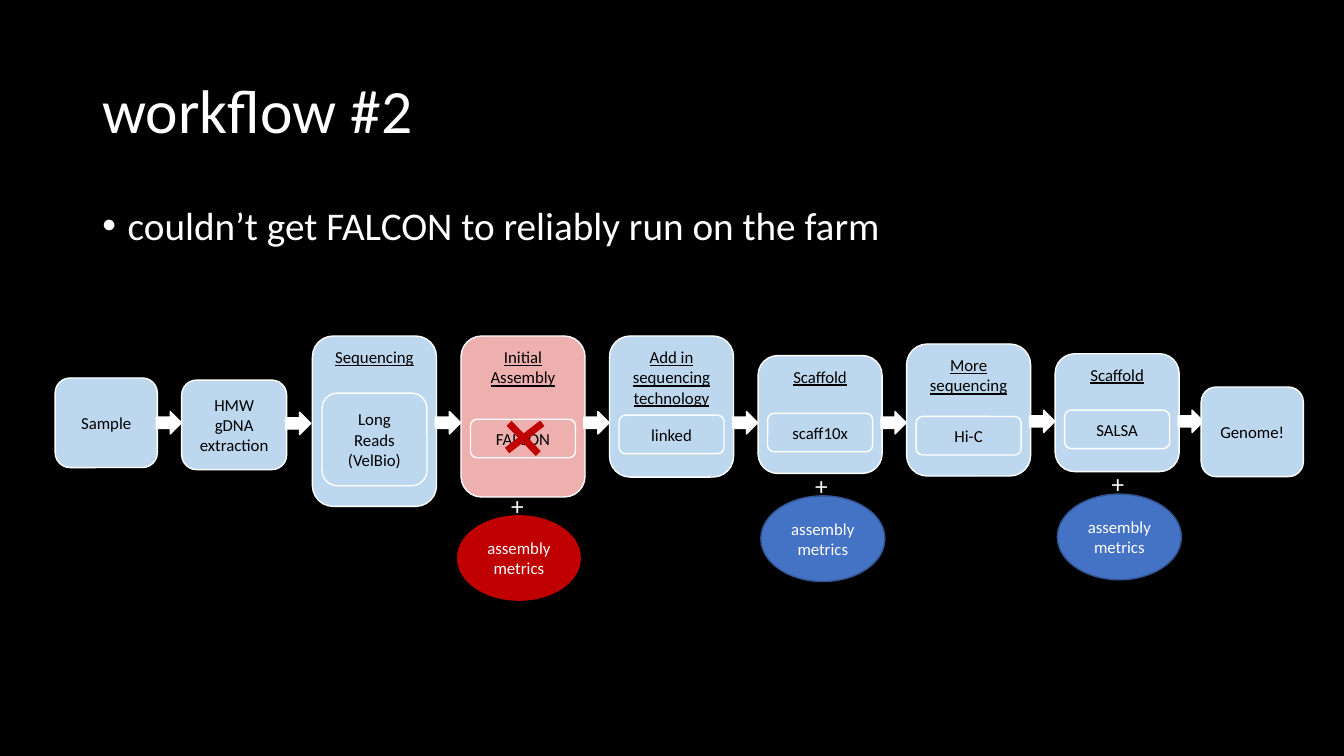
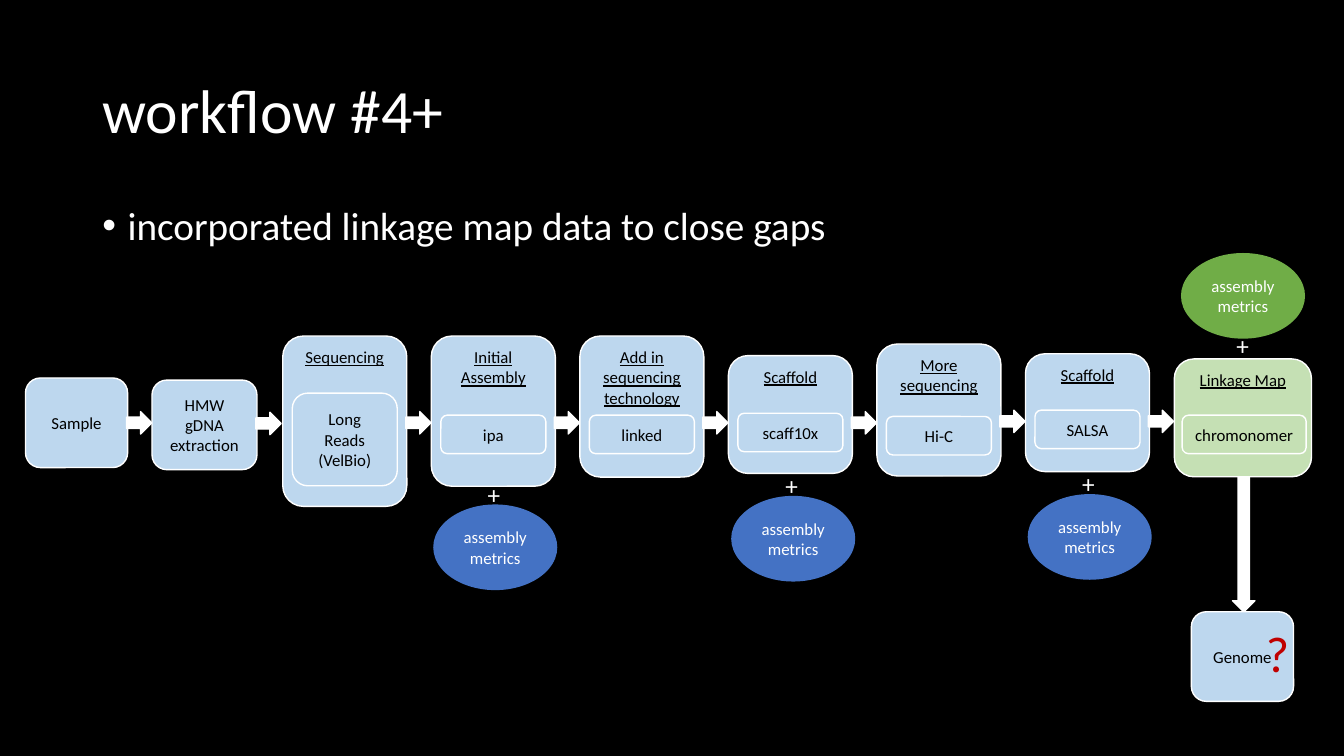
from lxml.etree import SubElement
from pptx import Presentation
from pptx.dml.color import RGBColor
from pptx.enum.shapes import MSO_CONNECTOR, MSO_SHAPE
from pptx.enum.text import MSO_ANCHOR, MSO_AUTO_SIZE, PP_ALIGN
from pptx.oxml.ns import qn
from pptx.util import Pt

BLACK = RGBColor(0x00, 0x00, 0x00)
WHITE = RGBColor(0xFF, 0xFF, 0xFF)
PALE_BLUE = RGBColor(0xBD, 0xD7, 0xEE)
PALE_RED = RGBColor(0xEE, 0xB0, 0xAE)
PALE_GREEN = RGBColor(0xC5, 0xE0, 0xB4)
BLUE = RGBColor(0x44, 0x72, 0xC4)
DARK_BLUE = RGBColor(0x32, 0x54, 0x91)
RED = RGBColor(0xC0, 0x00, 0x00)
GREEN = RGBColor(0x70, 0xAD, 0x47)
FONT = "Calibri"

# Measures of the pipeline
STEP_W, STEP_PITCH = 88.6, 106.1
TOOL_W, TOOL_H = 75, 27.5
SMALL_H = 64
ARROW_W, ARROW_H = 18, 16
METRICS_H = 61.2


def add_box(slide, preset, left, top, width, height, fill, text="",
            line=WHITE, color=BLACK, heading=False):
    box = slide.shapes.add_shape(preset, Pt(left), Pt(top), Pt(width), Pt(height))
    box.shadow.inherit = False
    box.fill.solid()
    box.fill.fore_color.rgb = fill
    if line is None:
        box.line.fill.background()
    else:
        box.line.color.rgb = line
        box.line.width = Pt(1)
    frame = box.text_frame
    frame.text = text
    frame.vertical_anchor = MSO_ANCHOR.TOP if heading else MSO_ANCHOR.MIDDLE
    for paragraph in frame.paragraphs:
        paragraph.alignment = PP_ALIGN.CENTER
        for run in paragraph.runs:
            run.font.name = FONT
            run.font.size = Pt(12)
            run.font.color.rgb = color
            if heading:
                run.font.underline = True


def add_sign(slide, left, top, width, height, text, size, color):
    frame = slide.shapes.add_textbox(
        Pt(left), Pt(top), Pt(width), Pt(height)).text_frame
    frame.word_wrap = False
    frame.auto_size = MSO_AUTO_SIZE.SHAPE_TO_FIT_TEXT
    frame.text = text
    font = frame.paragraphs[0].runs[0].font
    font.name, font.size, font.color.rgb = FONT, Pt(size), color


# Steps: heading, top, height, fill, tool, tool top, tool height,
# metrics as (shift from the step, gap below it, fill) or None
sequencing = ("Sequencing", 240, 121.7, PALE_BLUE,
              "Long Reads\n(VelBio)", 280.8, 66.2, None)
falcon = ("Initial Assembly", 240, 115, PALE_RED,
          "FALCON", 299.5, TOOL_H, (-2.9, 13, RED))
ipa = ("Initial Assembly", 240, 107.3, PALE_BLUE,
       "ipa", 296.6, TOOL_H, (1.4, 13, BLUE))
later_steps = [
    ("Add in sequencing technology", 240, 100.8, PALE_BLUE,
     "linked", 296.6, TOOL_H, None),
    ("Scaffold", 254, 84.2, PALE_BLUE,
     "scaff10x", 295.2, TOOL_H, (2, 16, BLUE)),
    ("More sequencing", 245.7, 94.3, PALE_BLUE,
     "Hi-C", 297.5, TOOL_H, None),
    ("Scaffold", 252.7, 84.2, PALE_BLUE,
     "SALSA", 293, TOOL_H, (1.6, 16, BLUE)),
]

# Slides: title, bullet, pipeline left, initial assembly, metrics outline
workflows = [
    ("workflow #2", "couldn’t get FALCON to reliably run on the farm",
     39.4, falcon, DARK_BLUE),
    ("workflow #4+", "incorporated linkage map data to close gaps",
     18.2, ipa, None),
]

prs = Presentation()
prs.slide_width, prs.slide_height = Pt(960), Pt(540)
prs.slide_master.background.fill.solid()
prs.slide_master.background.fill.fore_color.rgb = BLACK

slides = []
for title_text, bullet_text, start, assembly, outline in workflows:
    slide = prs.slides.add_slide(prs.slide_layouts[1])
    slides.append(slide)

    # Title and bullet
    title, body = slide.shapes.title, slide.placeholders[1]
    for holder, text, top, height, size, anchor in [
            (title, title_text, 28.8, 104.4, 44, MSO_ANCHOR.MIDDLE),
            (body, bullet_text, 144, 342.7, 28, MSO_ANCHOR.TOP)]:
        holder.left, holder.top = Pt(66), Pt(top)
        holder.width, holder.height = Pt(828), Pt(height)
        holder.text_frame.text = text
        holder.text_frame.vertical_anchor = anchor
        paragraph = holder.text_frame.paragraphs[0]
        paragraph.alignment = PP_ALIGN.LEFT
        paragraph.line_spacing = 0.9
        paragraph.space_before = Pt(0)
        font = paragraph.runs[0].font
        font.name, font.size, font.color.rgb = FONT, Pt(size), WHITE
    indent = body.text_frame.paragraphs[0]._p.get_or_add_pPr()
    indent.set("marL", str(Pt(18)))
    indent.set("indent", str(-Pt(18)))
    SubElement(indent, qn("a:buChar")).set("char", "•")

    # Sample and extraction
    add_box(slide, MSO_SHAPE.ROUNDED_RECTANGLE, start, 270, 73, SMALL_H,
            PALE_BLUE, "Sample")
    add_box(slide, MSO_SHAPE.ROUNDED_RECTANGLE, start + 90.4, 271.5, TOOL_W,
            SMALL_H, PALE_BLUE, "HMW gDNA extraction")
    arrows = [(start + 73, 294), (start + 165.4, 294.5)]

    # Steps with their tools and metrics
    for i, step in enumerate([sequencing, assembly] + later_steps):
        heading, top, height, fill, tool, tool_top, tool_height, metrics = step
        left = start + 183.8 + i * STEP_PITCH
        add_box(slide, MSO_SHAPE.ROUNDED_RECTANGLE, left, top, STEP_W, height,
                fill, heading, heading=True)
        add_box(slide, MSO_SHAPE.ROUNDED_RECTANGLE,
                left + (STEP_W - TOOL_W) / 2, tool_top, TOOL_W, tool_height,
                fill, tool)
        arrows.append((left + STEP_W, 294 if i < 4 else 293))
        if metrics:
            shift, gap, metrics_fill = metrics
            metrics_top = top + height + gap
            add_box(slide, MSO_SHAPE.OVAL, left + shift, metrics_top, STEP_W,
                    METRICS_H, metrics_fill, "assembly metrics", color=WHITE,
                    line=outline if metrics_fill == BLUE else None)
            add_sign(slide, left + shift + 31.7, metrics_top - 21.6, 23.8, 29,
                     "+", 18, WHITE)

    # Arrows between the steps
    for box_right, top in arrows:
        add_box(slide, MSO_SHAPE.RIGHT_ARROW, box_right - 0.8, top,
                ARROW_W, ARROW_H, WHITE)

falcon_slide, linkage_slide = slides

# Workflow #2: finished genome and crossed-out assembler
add_box(falcon_slide, MSO_SHAPE.ROUNDED_RECTANGLE, 858, 276.5, 73, SMALL_H,
        PALE_BLUE, "Genome!")
for x1, y1, x2, y2 in [(363.6, 302.4, 384.5, 324), (362.2, 321.8, 387.4, 302.4)]:
    stroke = falcon_slide.shapes.add_connector(
        MSO_CONNECTOR.STRAIGHT, Pt(x1), Pt(y1), Pt(x2), Pt(y2))
    stroke.line.color.rgb = RED
    stroke.line.width = Pt(5)
    SubElement(stroke._element.spPr, qn("a:effectLst"))

# Workflow #4+: linkage map, its metrics and the open genome
add_box(linkage_slide, MSO_SHAPE.ROUNDED_RECTANGLE, 838.8, 256.4, 98, 84.2,
        PALE_GREEN, "Linkage Map", heading=True)
add_box(linkage_slide, MSO_SHAPE.ROUNDED_RECTANGLE, 844.4, 296.6, STEP_W, TOOL_H,
        PALE_GREEN, "chromonomer")
add_box(linkage_slide, MSO_SHAPE.OVAL, 843.6, 180.7, STEP_W, METRICS_H, GREEN,
        "assembly metrics", line=None, color=WHITE)
add_sign(linkage_slide, 876, 232.6, 23.8, 29, "+", 18, WHITE)
add_box(linkage_slide, MSO_SHAPE.DOWN_ARROW, 880.4, 340.6, ARROW_H, 96.5, WHITE)
add_box(linkage_slide, MSO_SHAPE.ROUNDED_RECTANGLE, 851, 437, 73, SMALL_H,
        PALE_BLUE, "Genome")
add_sign(linkage_slide, 897.1, 440.6, 31.7, 51, "?", 36, RED)

prs.save("out.pptx")
